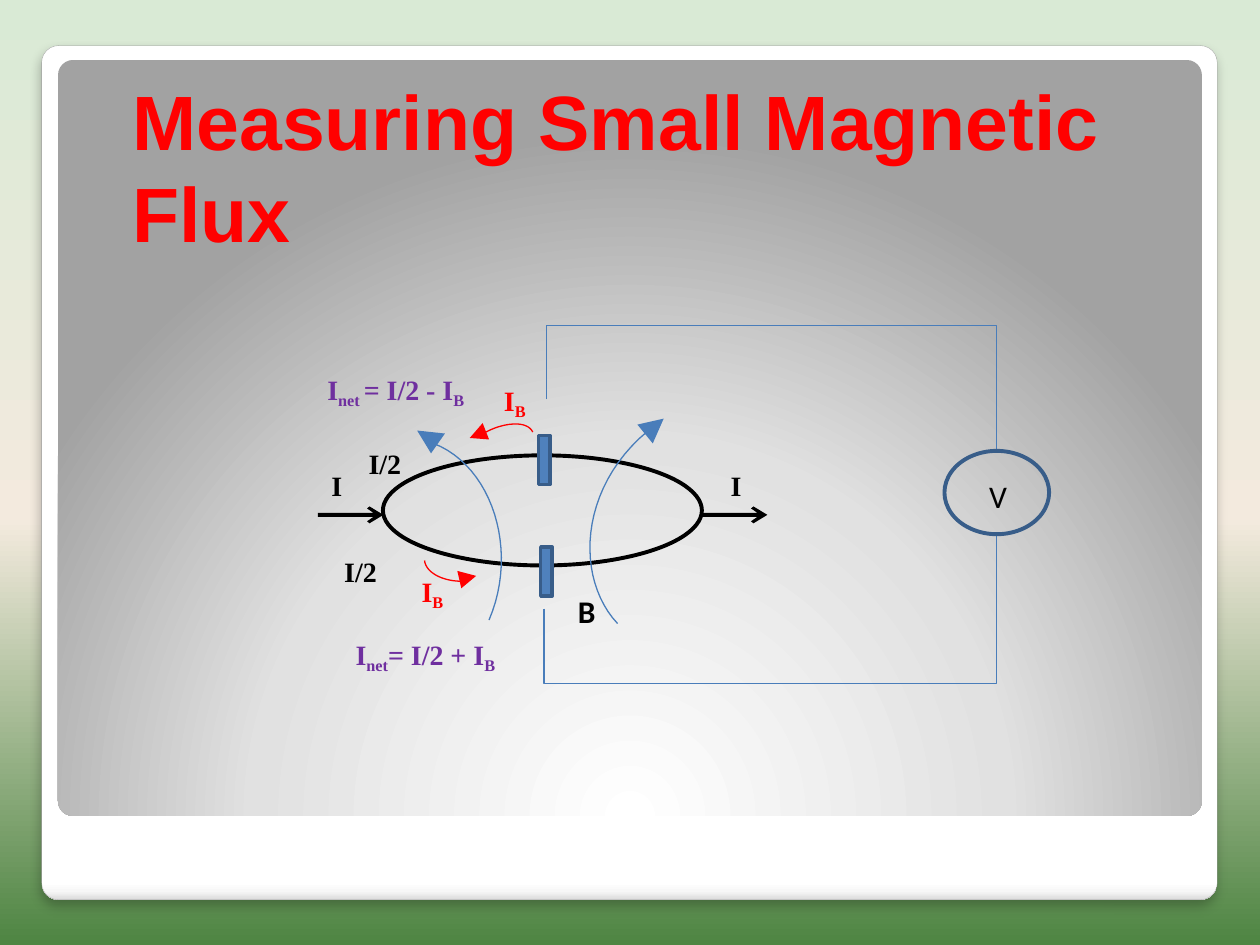
from dataclasses import dataclass

from pptx import Presentation
from pptx import util as u
from pptx.dml.color import RGBColor
from pptx.enum import shapes, text
from pptx.oxml import parse_xml
from pptx.oxml.ns import nsdecls, qn


@dataclass(frozen=True)
class Theme:
    red: str = "FF0000"
    black: str = "000000"
    purple: str = "6F2F9F"
    blue: str = "497DBA"
    fill_blue: str = "4F81BC"
    edge_blue: str = "385D89"
    heading: str = "Arial"
    serif: str = "Times New Roman"
    sans: str = "Calibri"
    title_size: int = 44
    symbol_size: int = 18
    label_size: int = 16
    thin: float = 0.75
    thick: float = 2.25


theme = Theme()

TITLE = ["Measuring Small Magnetic ", "Flux"]
BACKGROUND = [(0, "4E8542"), (45, "F3EADE"), (100, "D9EAD5")]
CARD = [(0, "FFFFFF"), (98, "FFFFFF"), (99, "F7F7F7"), (100, "DADADA")]
PANEL = [(0, "FFFFFF"), (55, "E1E1E1"), (100, "A2A2A2")]
RADIAL = '<a:path path="circle"><a:fillToRect l="50000" t="175000" r="50000" b="-75000"/></a:path>'
SHADOW = ('<a:outerShdw blurRad="76200" dist="50800" dir="5400000" {}>'
          '<a:srgbClr val="000000"><a:alpha val="25000"/></a:srgbClr></a:outerShdw>')

RING = (7.72, 9.18, 6.43, 2.22)
METER = (19.04, 9.09, 2.11, 1.68)
JUNCTIONS = [(10.86, 8.78, 0.23, 0.99), (10.9, 11.03, 0.23, 0.99)]
CURRENT_TIPS = [(7.73, 10.38), (15.47, 10.38)]
CURRENT_HALF = [(-0.28, 0.17), (-0.33, 0.13), (-0.2, 0.04), (-1.32, 0.04)]
WIRES = [
    [(11.02, 8.05), (11.02, 6.56), (20.09, 6.56), (20.09, 9.09)],
    [(10.97, 12.27), (10.97, 13.78), (20.09, 13.78), (20.09, 10.77)],
]
FIELD_CURVES = [
    [(8.74, 8.94), (9.93, 9.4), (10.46, 11.1), (9.86, 12.5)],
    [(12.45, 12.57), (11.61, 11.68), (11.65, 9.86), (13.06, 8.69)],
]
FIELD_HEADS = [
    [(8.97, 8.74), (8.41, 8.68), (8.69, 9.14)],
    [(13.38, 8.44), (12.85, 8.56), (13.16, 8.94)],
]
INDUCED_CURVES = [
    [(9.8, 8.71), (10.13, 8.53), (10.62, 8.46), (10.74, 8.71)],
    [(9.45, 11.71), (9.02, 11.76), (8.59, 11.58), (8.56, 11.3)],
]
INDUCED_HEADS = [
    [(9.73, 8.53), (9.47, 8.83), (9.86, 8.86)],
    [(9.22, 11.51), (9.3, 11.86), (9.6, 11.61)],
]
INDUCED = [("I", False), ("B", True)]
LABELS = [
    ((6.63, 9.42, 0.3), 0.05, theme.black, [("I", False)]),
    ((14.68, 9.42, 0.3), 0.05, theme.black, [("I", False)]),
    ((6.91, 11.15, 0.74), 0.03, theme.black, [("I/2", False)]),
    ((7.39, 8.97, 0.74), 0.04, theme.black, [("I/2", False)]),
    ((10.06, 7.7, 0.69), 0.1, theme.red, INDUCED),
    ((8.38, 11.55, 0.69), 0.12, theme.red, INDUCED),
    ((6.48, 7.49, 3.1), 0.12, theme.purple,
     [("I", False), ("net ", True), ("= I/2 - ", False), *INDUCED]),
    ((7.06, 12.83, 3.12), 0.11, theme.purple,
     [("I", False), ("net", True), ("= I/2 + ", False), *INDUCED]),
]
SYMBOLS = [
    ((10.97, 11.91, 9.09), 0.68, True, "B"),
    ((19.89, 9.58, 0.43), 0.05, False, "V"),
]


def color(value):
    return RGBColor.from_string(value)


def set_gradient(element, stops, direction):
    gradient = next(element.iter(qn("a:gradFill")))
    for child in list(gradient):
        gradient.remove(child)
    marks = "".join(f'<a:gs pos="{at * 1000}"><a:srgbClr val="{tint}"/></a:gs>' for at, tint in stops)
    source = parse_xml(f'<a:gradFill {nsdecls("a")}><a:gsLst>{marks}</a:gsLst>{direction}</a:gradFill>')
    for child in list(source):
        gradient.append(child)


def linear(degrees):
    return f'<a:lin ang="{degrees * 60000}" scaled="0"/>'


def style(shape, fill=None, line=None, width=theme.thin):
    shape.shadow.inherit = False
    if fill:
        shape.fill.solid()
        shape.fill.fore_color.rgb = color(fill)
    else:
        shape.fill.background()
    if line:
        shape.line.color.rgb = color(line)
        shape.line.width = u.Pt(width)
    else:
        shape.line.fill.background()
    return shape


def add_preset(kind, frame, **look):
    return style(page.shapes.add_shape(kind, *map(u.Cm, frame)), **look)


def add_outline(contours, close, **look):
    builder = None
    for contour in contours:
        first, *rest = [(u.Cm(x), u.Cm(y)) for x, y in contour]
        if builder is None:
            builder = page.shapes.build_freeform(*first)
        else:
            builder.move_to(*first)
        builder.add_line_segments(rest, close=close)
    return style(builder.convert_to_shape(), **look)


def bezier(a, b, c, d, steps=24):
    for step in range(steps + 1):
        t = step / steps
        s = 1 - t
        yield tuple(s**3 * p + 3 * s * s * t * q + 3 * s * t * t * r + t**3 * v
                    for p, q, r, v in zip(a, b, c, d))


def current_arrow(x, y):
    upper = [(x + dx, y - dy) for dx, dy in CURRENT_HALF]
    lower = [(x + dx, y + dy) for dx, dy in reversed(CURRENT_HALF)]
    return [(x, y), *upper, *lower]


def write(box, runs, font, size, tint, bold, left, top, anchor=text.MSO_ANCHOR.TOP):
    frame = box.text_frame
    frame.auto_size = text.MSO_AUTO_SIZE.NONE
    frame.vertical_anchor = anchor
    frame.margin_left, frame.margin_top = u.Cm(left), u.Cm(top)
    frame.margin_right = frame.margin_bottom = 0
    para = frame.paragraphs[0]
    para.alignment = text.PP_ALIGN.LEFT
    para.space_before = u.Pt(0)
    para.line_spacing = 1.0
    for words, lowered in runs:
        span = para.add_run()
        span.text = words
        span.font.name, span.font.size, span.font.bold = font, u.Pt(size), bold
        span.font.color.rgb = color(tint)
        if lowered:
            span.font._element.set("baseline", "-21000")


def add_label(place, height, runs, font, size, tint, bold, left):
    box = page.shapes.add_textbox(*map(u.Cm, (*place, height)))
    box.text_frame.word_wrap = False
    write(box, runs, font, size, tint, bold, left, 0.03)


deck = Presentation()
deck.slide_width, deck.slide_height = u.Cm(25.4), u.Cm(19.05)
page = deck.slides.add_slide(deck.slide_layouts[5])
page.background.fill.gradient()
set_gradient(page.element, BACKGROUND, linear(270))

rounded = shapes.MSO_SHAPE.ROUNDED_RECTANGLE
card = add_preset(rounded, (0.84, 0.92, 23.7, 17.22), line="A4A4A4", width=0.16)
panel = add_preset(rounded, (1.17, 1.21, 23.06, 15.24))
for sheet, stops, direction in [(card, CARD, linear(90)), (panel, PANEL, RADIAL)]:
    sheet.adjustments[0] = 0.02
    sheet.fill.gradient()
    set_gradient(sheet._element, stops, direction)
card._element.spPr.find(qn("a:effectLst")).append(parse_xml(SHADOW.format(nsdecls("a"))))

title = page.shapes.title
page.shapes._spTree.append(title._element)
title.left, title.top, title.width, title.height = map(u.Cm, (2.01, 0.3, 22.73, 4.9))
title.text_frame.word_wrap = True
write(title, [(words, False) for words in TITLE], theme.heading, theme.title_size,
      theme.red, True, 0.66, 1.14, text.MSO_ANCHOR.BOTTOM)

oval = shapes.MSO_SHAPE.OVAL
add_preset(oval, RING, line=theme.black, width=theme.thick)
for junction in JUNCTIONS:
    add_preset(shapes.MSO_SHAPE.RECTANGLE, junction, fill=theme.fill_blue, line=theme.edge_blue, width=2)
add_outline([current_arrow(*tip) for tip in CURRENT_TIPS], True, fill=theme.black)
for tint, curves in [(theme.blue, FIELD_CURVES), (theme.red, INDUCED_CURVES)]:
    for controls in curves:
        add_outline([bezier(*controls)], False, line=tint)
add_outline(FIELD_HEADS, True, fill=theme.blue)
for head in INDUCED_HEADS:
    add_outline([head], True, fill=theme.red)
add_outline(WIRES, False, line=theme.blue)
add_preset(oval, METER, line=theme.edge_blue, width=theme.thick)

for place, left, tint, runs in LABELS:
    add_label(place, 0.76, runs, theme.serif, theme.label_size, tint, True, left)
for place, left, bold, symbol in SYMBOLS:
    add_label(place, 0.84, [(symbol, False)], theme.sans, theme.symbol_size, theme.black, bold, left)

deck.save("out.pptx")
